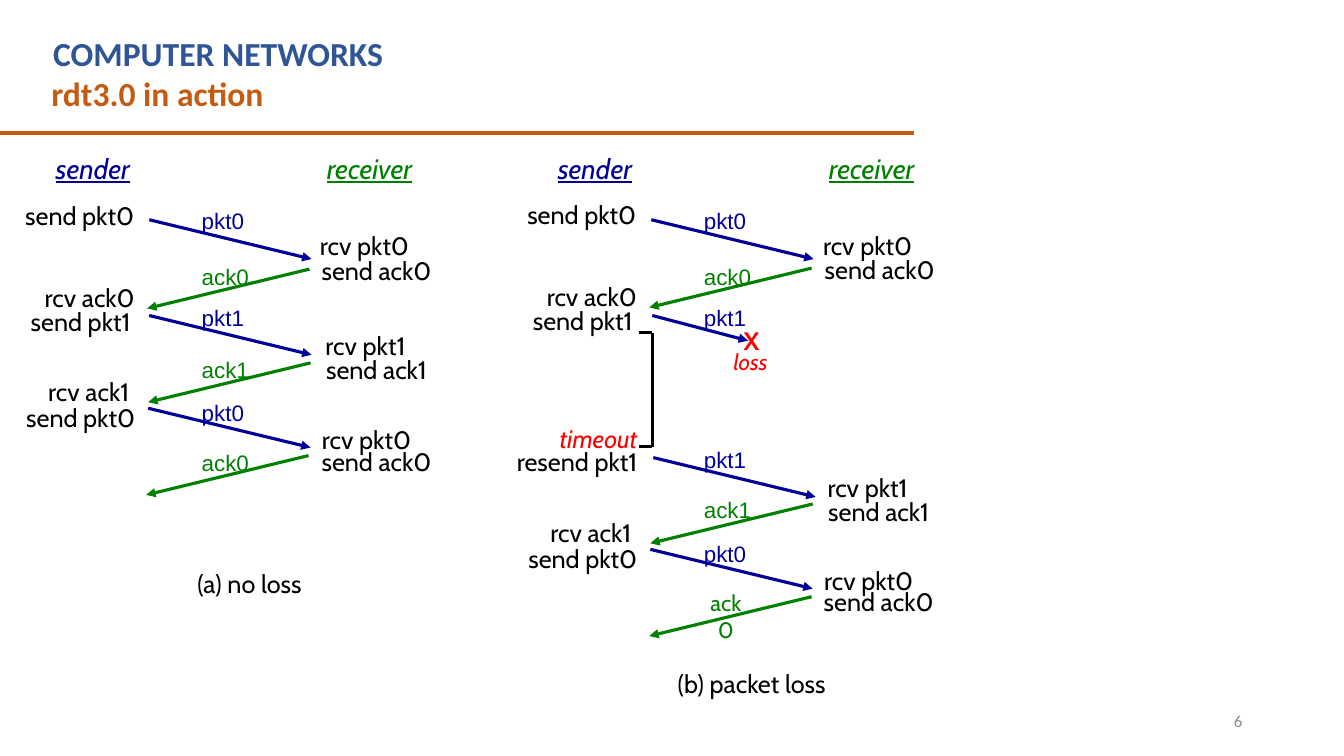
from dataclasses import dataclass

from lxml import etree
from pptx import Presentation
from pptx.dml.color import RGBColor
from pptx.enum import shapes, text
from pptx.oxml import ns
from pptx.util import Inches, Pt


@dataclass(frozen=True)
class Theme:
    orange: str = "C55A11"
    blue: str = "2F5597"
    packet: str = "000099"
    ack: str = "008000"
    ink: str = "000000"
    alert: str = "FF0000"
    muted: str = "8C8C8C"
    heading_font: str = "Calibri"
    body_font: str = "Cabin"
    label_font: str = "Arial"
    heading: int = 24
    role: int = 20
    body: int = 18
    label: int = 16
    footer: int = 12
    rule: float = 3
    arrow: float = 2.25


THEME = Theme()
COURSE = "COMPUTER NETWORKS"
TOPIC = "rdt3.0 in action"
PAGE = "6"

SCENARIOS = [
    {
        "left": 0,
        "caption": ("(a) no loss", 1.79, 5.59, 1.37),
        "events": [
            ("send pkt0", 0.15, 1.94), ("rcv pkt0", 3.07, 2.24), ("send ack0", 3.08, 2.48),
            ("rcv ack0", 0.33, 2.75), ("send pkt1", 0.16, 2.99), ("rcv pkt1", 3.08, 3.23),
            ("send ack1", 3.08, 3.47), ("rcv ack1", 0.32, 3.68), ("send pkt0", 0.16, 3.94),
            ("rcv pkt0", 3.09, 4.16), ("send ack0", 3.08, 4.38),
        ],
        "messages": [
            ("pkt0", 1.48, 2.18, 2.01), ("ack0", 1.46, 2.67, 2.56),
            ("pkt1", 1.48, 3.13, 2.97), ("ack1", 1.47, 3.6, 3.48),
            ("pkt0", 1.47, 4.05, 3.91), ("ack0", 1.45, 4.52, 4.41),
        ],
    },
    {
        "left": 4.98,
        "caption": ("(b) packet loss", 1.56, 6.58, 1.83),
        "events": [
            ("send pkt0", 0.15, 1.93), ("rcv pkt0", 3.08, 2.24), ("send ack0", 3.09, 2.47),
            ("rcv ack0", 0.33, 2.74), ("send pkt1", 0.16, 2.98), ("rcv pkt1", 3.08, 4.64),
            ("send ack1", 3.08, 4.87), ("rcv ack1", 0.32, 5.08), ("send pkt0", 0.16, 5.34),
            ("rcv pkt0", 3.09, 5.56), ("send ack0", 3.08, 5.77),
        ],
        "messages": [
            ("pkt0", 1.48, 2.18, 2.01), ("ack0", 1.46, 2.66, 2.56),
            ("pkt1", 1.5, 4.54, 4.38), ("ack1", 1.47, 5, 4.87),
            ("pkt0", 1.47, 5.45, 5.31),
        ],
    },
]
ROLES = [("sender", 0.41, 1.02, THEME.packet), ("receiver", 3.08, 1.17, THEME.ack)]
EVENT_WIDTHS = {"send pkt": 1.28, "rcv pkt": 1.09, "send ack": 1.31, "rcv ack": 1.12}
MESSAGE_STYLES = {"pkt": (THEME.packet, 0.62), "ack": (THEME.ack, 0.67)}
SPAN, DROP, LABEL_LEFT = 1.61, 0.39, 1.9
LOST_PACKET = ((6.47, 3.13), (7.42, 3.38))
FINAL_ACK = ((8.05, 5.92), (6.44, 6.31))
TIMER_X, TIMER_TICK, TIMER_TOP, TIMER_BOTTOM = 6.47, 6.34, 3.3, 4.43

deck = Presentation()
deck.slide_width, deck.slide_height = Inches(13.33), Inches(7.5)
slide = deck.slides.add_slide(deck.slide_layouts[5])


def style(paragraph, color, size, font, **flags):
    for run in paragraph.runs:
        run.font.name, run.font.size = font, Pt(size)
        run.font.color.rgb = RGBColor.from_string(color)
        for flag, value in flags.items():
            setattr(run.font, flag, value)


def write(words, left, top, width, height=0.4, color=THEME.ink, size=THEME.body,
          font=THEME.body_font, align=text.PP_ALIGN.CENTER, wrap=False, **flags):
    box = slide.shapes.add_textbox(*map(Inches, (left, top, width, height)))
    frame = box.text_frame
    frame.text, frame.word_wrap = words, wrap
    for paragraph in frame.paragraphs:
        paragraph.alignment = align
        style(paragraph, color, size, font, **flags)
    return frame


def draw(start, end, color, width=THEME.arrow, arrow=False):
    line = slide.shapes.add_connector(
        shapes.MSO_CONNECTOR.STRAIGHT, *map(Inches, (*start, *end)))
    line.line.color.rgb = RGBColor.from_string(color)
    line.line.width = Pt(width)
    if arrow:
        etree.SubElement(line.line._get_or_add_ln(), ns.qn("a:tailEnd"), type="triangle")
    etree.SubElement(line._element.spPr, ns.qn("a:effectLst"))


def label_message(words, left, top):
    color, width = MESSAGE_STYLES[words[:-1]]
    write(words, left, top, width, 0.37, color, THEME.label, THEME.label_font)


def draw_scenario(scenario):
    left = scenario["left"]
    for role, offset, width, color in ROLES:
        write(role, left + offset, 1.45, width, 0.43, color, THEME.role,
              italic=True, underline=True)
    for event, offset, top in scenario["events"]:
        write(event, left + offset, top, EVENT_WIDTHS[event[:-1]])
    for message, offset, top, label_top in scenario["messages"]:
        sender, receiver = left + offset, left + offset + SPAN
        if message.startswith("ack"):
            sender, receiver = receiver, sender
        color = MESSAGE_STYLES[message[:-1]][0]
        draw((sender, top), (receiver, top + DROP), color, arrow=True)
        label_message(message, left + LABEL_LEFT, label_top)
    caption, offset, top, width = scenario["caption"]
    write(caption, left + offset, top, width)


def draw_header():
    topic = slide.shapes.title
    topic.left, topic.top, topic.width, topic.height = map(Inches, (0.41, 0.67, 8.75, 0.5))
    frame = topic.text_frame
    frame.text, frame.word_wrap = TOPIC, True
    frame.auto_size = text.MSO_AUTO_SIZE.NONE
    frame.vertical_anchor = text.MSO_ANCHOR.TOP
    frame.paragraphs[0].alignment = text.PP_ALIGN.LEFT
    style(frame.paragraphs[0], THEME.orange, THEME.heading, THEME.heading_font, bold=True)
    write(COURSE, 0.43, 0.28, 8.2, 0.5, THEME.blue, THEME.heading, THEME.heading_font,
          text.PP_ALIGN.LEFT, True, bold=True)
    draw((0, 1.32), (9.07, 1.32), THEME.orange, THEME.rule)


def draw_loss():
    draw(*LOST_PACKET, THEME.packet, arrow=True)
    label_message("pkt1", 6.88, 2.97)
    write("X", 7.27, 3.18, 0.37, color=THEME.alert, bold=True)
    write("loss", 7.16, 3.4, 0.57, 0.37, THEME.alert, THEME.label, italic=True)
    draw(*FINAL_ACK, THEME.ack, arrow=True)
    write("ack0", 6.9, 5.8, 0.6, 0.62, THEME.ack, THEME.label, wrap=True)


def draw_timer():
    draw((TIMER_X, TIMER_TOP), (TIMER_X, TIMER_BOTTOM), THEME.ink)
    for y in (TIMER_TOP, TIMER_BOTTOM):
        draw((TIMER_X, y), (TIMER_TICK, y), THEME.ink)
    timeout = write("timeout\nresend pkt1", 4.91, 4.22, 1.51, 0.55,
                    align=text.PP_ALIGN.RIGHT)
    for paragraph in timeout.paragraphs:
        paragraph.line_spacing = 0.75
    style(timeout.paragraphs[0], THEME.alert, THEME.body, THEME.body_font, italic=True)


def draw_page_number():
    page = write(PAGE, 9.42, 6.95, 3, color=THEME.muted, size=THEME.footer,
                 font=THEME.heading_font, align=text.PP_ALIGN.RIGHT, wrap=True)
    page.vertical_anchor = text.MSO_ANCHOR.MIDDLE


draw_header()
for scenario in SCENARIOS:
    draw_scenario(scenario)
draw_loss()
draw_timer()
draw_page_number()
deck.save("out.pptx")
